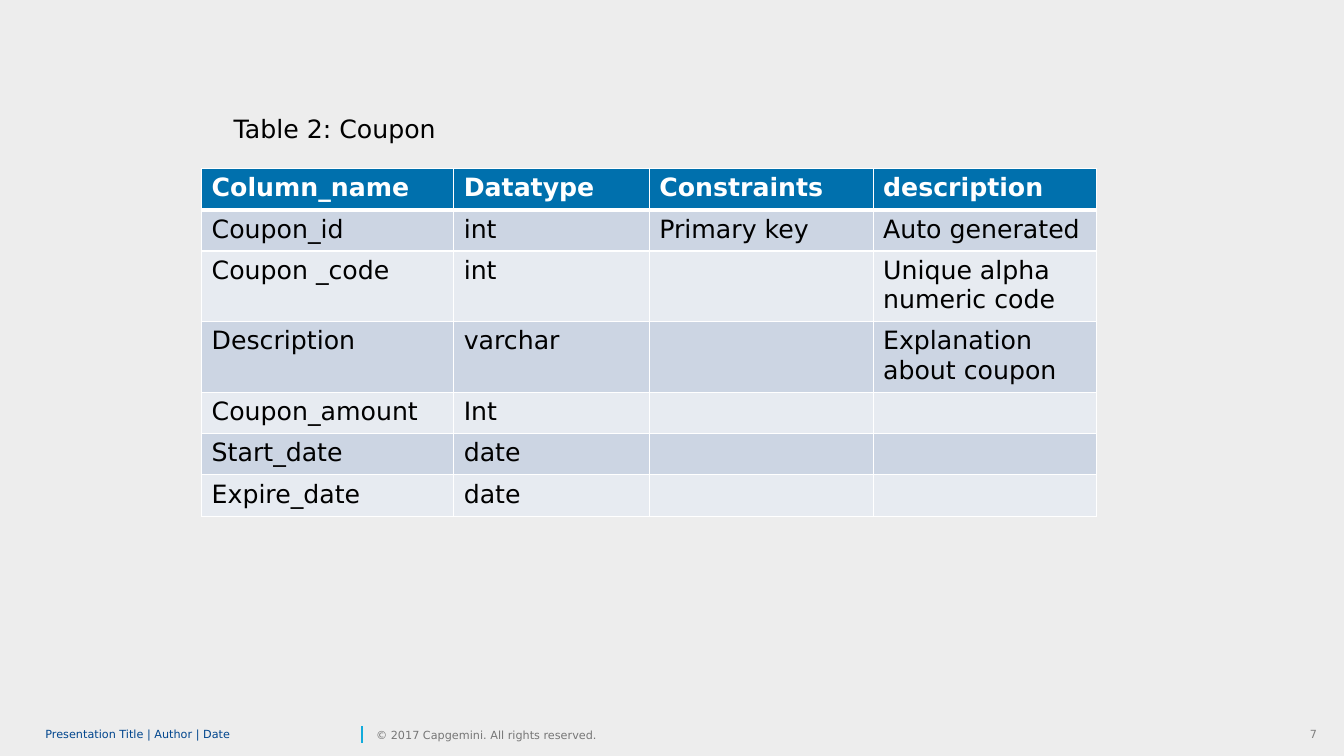
from lxml import etree
from pptx import Presentation, util as u
from pptx.dml import color
from pptx.enum import shapes, text
from pptx.oxml import ns

HUES = {"back": "EDEDED", "head": "0070AD", "odd": "CCD5E3", "even": "E7EBF1",
        "white": "FFFFFF", "black": "000000", "gray": "808080",
        "navy": "00458D", "cyan": "12ABDB", "note": "767676"}


class Deck:
    """Holds the text style and the current slide."""

    def __init__(self, font):
        self.font = font
        self.prs = Presentation()
        self.prs.slide_width = u.Inches(13.33)
        self.prs.slide_height = u.Inches(7.5)
        self.slide = self.prs.slides.add_slide(self.prs.slide_layouts[6])

    def hue(self, name):
        return color.RGBColor.from_string(HUES[name])

    def style(self, para, size, hue, bold=False):
        font = para.font
        font.name, font.size, font.bold = self.font, u.Pt(size), bold
        font.color.rgb = self.hue(hue)

    def rect(self, box, hue):
        shape = self.slide.shapes.add_shape(
            shapes.MSO_SHAPE.RECTANGLE, *map(u.Inches, box))
        shape.shadow.inherit = False
        shape.fill.solid()
        shape.fill.fore_color.rgb = self.hue(hue)
        shape.line.fill.background()

    def line(self, ends, hue):
        line = self.slide.shapes.add_connector(
            shapes.MSO_CONNECTOR.STRAIGHT, *map(u.Inches, ends))
        line.line.color.rgb = self.hue(hue)
        line.line.width = u.Pt(1)
        etree.SubElement(line._element.spPr, ns.qn("a:effectLst"))

    def text(self, box, words, size, hue, wrap=True, flat=False, grow=False,
             align=None, space=None):
        frame = self.slide.shapes.add_textbox(*map(u.Inches, box)).text_frame
        frame.word_wrap = wrap
        if grow:
            frame.auto_size = text.MSO_AUTO_SIZE.SHAPE_TO_FIT_TEXT
        if flat:
            frame.margin_left = frame.margin_right = 0
            frame.margin_top = frame.margin_bottom = 0
            frame.vertical_anchor = text.MSO_ANCHOR.MIDDLE
        para = frame.paragraphs[0]
        para.text = words
        para.alignment = align
        para.line_spacing = space
        self.style(para, size, hue)

    def edge(self, cell, side, width):
        props = cell._tc.get_or_add_tcPr()
        line = etree.SubElement(props, ns.qn("a:ln" + side), w=str(u.Pt(width)))
        fill = etree.SubElement(line, ns.qn("a:solidFill"))
        etree.SubElement(fill, ns.qn("a:srgbClr"), val=HUES["white"])

    def table(self, box, widths, high, rows):
        table = self.slide.shapes.add_table(
            len(rows), len(widths), *map(u.Inches, box)).table
        for col, width in zip(table.columns, widths):
            col.width = u.Inches(width)
        for r, row in enumerate(rows):
            table.rows[r].height = u.Inches(high)
            back = "head" if r == 0 else "odd" if r % 2 else "even"
            for c, words in enumerate(row):
                cell = table.cell(r, c)
                para = cell.text_frame.paragraphs[0]
                if words:
                    para.text = words
                self.style(para, 18, "black" if r else "white", r == 0)
                for side in "LRTB":
                    thick = (r, side) in ((0, "B"), (1, "T"))
                    self.edge(cell, side, 3 if thick else 1)
                cell.fill.solid()
                cell.fill.fore_color.rgb = self.hue(back)


def main():
    deck = Deck("DejaVu Sans")
    deck.rect((0, 0, 13.33, 7.5), "back")
    deck.text((12.89, 7.17, 0.27, 0.24), "7", 8, "gray", wrap=False,
              grow=True, align=text.PP_ALIGN.RIGHT)
    deck.line((3.59, 7.37, 3.59, 7.2), "cyan")
    deck.text((0.45, 7.17, 3.09, 0.24), "Presentation Title | Author | Date",
              8, "navy", flat=True, space=0.85)
    deck.text((3.73, 7.17, 2.43, 0.24), "© 2017 Capgemini. All rights reserved.",
              8, "note", wrap=False, flat=True)
    deck.table((2, 1.67, 8.89, 3.43), (2.5, 1.94, 2.22, 2.22), 0.41, (
        ("Column_name", "Datatype", "Constraints", "description"),
        ("Coupon_id", "int", "Primary key", "Auto generated"),
        ("Coupon _code", "int", "", "Unique alpha numeric code"),
        ("Description", "varchar", "", "Explanation about coupon"),
        ("Coupon_amount", "Int", "", ""),
        ("Start_date", "date", "", ""),
        ("Expire_date", "date", "", "")))
    deck.text((2.22, 1.08, 4.03, 0.4), "Table 2: Coupon", 18, "black", grow=True)
    deck.prs.save("out.pptx")


if __name__ == "__main__":
    main()
